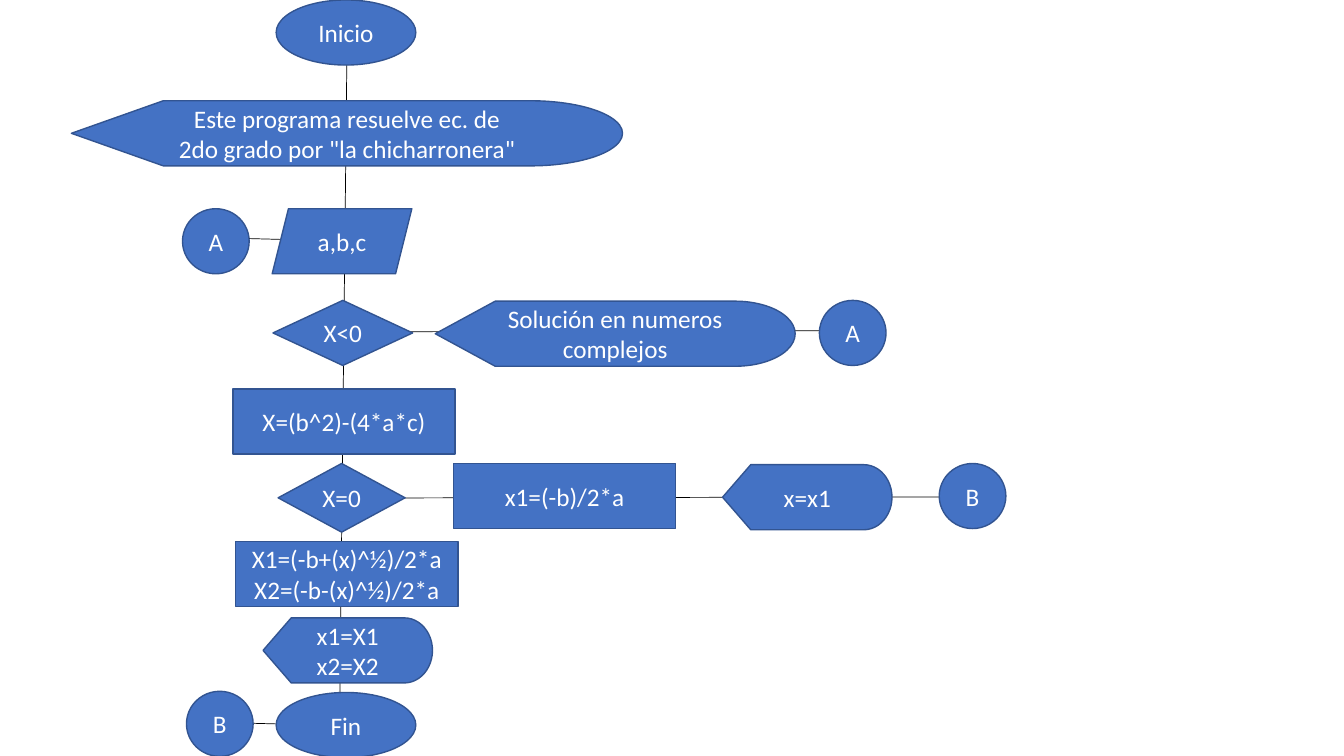
import pptx
import pptx.util
import pptx.dml.color
import pptx.enum.shapes
import pptx.enum.text
import pptx.oxml

Cm = pptx.util.Cm
Pt = pptx.util.Pt
KIND = pptx.enum.shapes.MSO_SHAPE
ROW = 1.64
FONT = {"size": Pt(18), "name": "Calibri"}
FRAME = {"word_wrap": True, "vertical_anchor": pptx.enum.text.MSO_ANCHOR.MIDDLE}
PARA = {"alignment": pptx.enum.text.PP_ALIGN.CENTER}
FILL, EDGE, INK, WIRE = "4472C4", "325491", "FFFFFF", "000000"


def style(item, values):
    for name, value in values.items():
        setattr(item, name, value)


def paint(color, code):
    color.rgb = pptx.dml.color.RGBColor.from_string(code)


def stroke(line, code, width):
    line.width = Pt(width)
    paint(line.color, code)


def node(slide, kind, text, left, top, width, height=ROW):
    shape = slide.shapes.add_shape(kind, Cm(left), Cm(top), Cm(width), Cm(height))
    shape.shadow.inherit = False
    shape.fill.solid()
    paint(shape.fill.fore_color, FILL)
    stroke(shape.line, EDGE, 1)
    frame = shape.text_frame
    style(frame, FRAME)
    frame.text = text
    for para in frame.paragraphs:
        style(para, PARA)
        style(para.runs[0].font, FONT)
        paint(para.runs[0].font.color, INK)


def arrow(slide, *ends):
    kind = pptx.enum.shapes.MSO_CONNECTOR.STRAIGHT
    link = slide.shapes.add_connector(kind, *map(Cm, ends))
    stroke(link.line, WIRE, 0.5)
    space = 'xmlns:a="http://schemas.openxmlformats.org/drawingml/2006/main"'
    props = link._element.spPr
    props.ln.append(pptx.oxml.parse_xml(f'<a:tailEnd {space} type="triangle"/>'))
    props.append(pptx.oxml.parse_xml(f"<a:effectLst {space}/>"))


def oval(slide, text, top):
    node(slide, KIND.OVAL, text, 6.96, top, 3.52)


def joint(slide, text, left, top):
    node(slide, KIND.OVAL, text, left, top, 1.68)


def step(slide, text, left, top):
    node(slide, KIND.RECTANGLE, text, left, top, 5.6)


def show(slide, text, left, top, width=4.27):
    node(slide, KIND.FLOWCHART_DISPLAY, text, left, top, width)


def main():
    deck = pptx.Presentation()
    style(deck, {"slide_width": Cm(33.87), "slide_height": Cm(19.05)})
    slide = deck.slides.add_slide(deck.slide_layouts[6])

    arrow(slide, 8.61, 12.55, 24.77, 12.52)
    arrow(slide, 5.74, 18.21, 8.89, 18.29)
    arrow(slide, 9.7, 8.36, 21.49, 8.33)
    arrow(slide, 5.41, 5.99, 8.56, 6.07)
    arrow(slide, 8.74, 1.6, 8.56, 18.01)

    oval(slide, "Inicio", 0)
    oval(slide, "Fin", 17.45)
    node(slide, KIND.PARALLELOGRAM, "a,b,c", 6.86, 5.26, 3.52)
    node(slide, KIND.DIAMOND, "X<0", 6.88, 7.57, 3.52)
    step(slide, "X=(b^2)-(4*a*c)", 5.87, 9.8)
    joint(slide, "B", 23.67, 11.68)
    joint(slide, "A", 20.65, 7.57)
    joint(slide, "A", 4.6, 5.26)
    show(slide, "Solución en numeros complejos", 10.97, 7.59, 9.07)
    node(slide, KIND.FLOWCHART_DECISION, "X=0", 7.01, 11.68, 3.2, 1.73)
    step(slide, "x1=(-b)/2*a", 11.43, 11.68)
    show(slide, "x=x1", 18.21, 11.71)
    step(slide, "X1=(-b+(x)^½)/2*a\nX2=(-b-(x)^½)/2*a", 5.94, 13.64)
    show(slide, "x1=X1\nx2=X2", 6.63, 15.57)
    joint(slide, "B", 4.7, 17.42)
    show(slide, 'Este programa resuelve ec. de 2do grado por "la chicharronera"',
         1.8, 2.54, 13.89)
    deck.save("out.pptx")


main()
